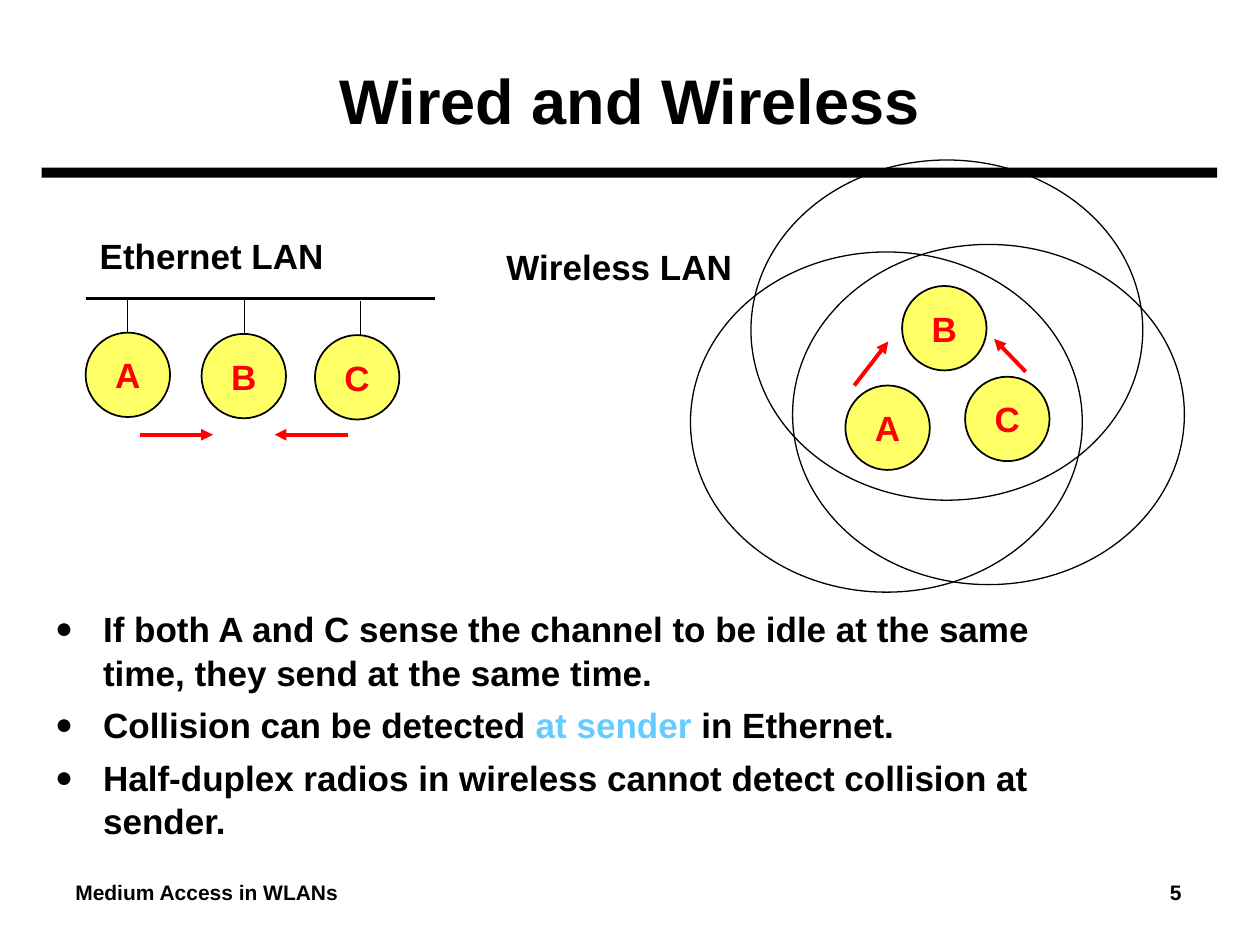
from lxml.etree import SubElement
from pptx import Presentation
from pptx.dml.color import RGBColor
from pptx.enum.shapes import MSO_CONNECTOR, MSO_SHAPE
from pptx.enum.text import MSO_ANCHOR, PP_ALIGN
from pptx.oxml.ns import qn
from pptx.util import Inches, Pt

BLACK = RGBColor(0x00, 0x00, 0x00)
RED = RGBColor(0xFF, 0x00, 0x00)
YELLOW = RGBColor(0xFF, 0xFF, 0x66)
BLUE = RGBColor(0x66, 0xCC, 0xFF)
NODE = 0.67
RANGE = (3.11, 2.7)


def style(font, size=20, color=BLACK):
    """Apply the bold slide font."""
    for name, value in {"name": "Arial", "size": Pt(size), "bold": True}.items():
        setattr(font, name, value)
    font.color.rgb = color


def add_tag(parent, tag, **attrs):
    """Append a drawing element with its attributes."""
    return SubElement(parent, qn(tag), attrs)


def add_text(slide, box, text, size=20, align=PP_ALIGN.LEFT, anchor=MSO_ANCHOR.TOP):
    """Add a one-line text box and return its paragraph."""
    frame = slide.shapes.add_textbox(*map(Inches, box)).text_frame
    frame.word_wrap = False
    frame.vertical_anchor = anchor
    para = frame.paragraphs[0]
    para.alignment = align
    run = para.add_run()
    run.text = text
    style(run.font, size)
    return para


def add_line(slide, start, end, width, color=BLACK, arrow=False):
    """Draw a straight line, with an arrowhead at its end if asked."""
    line = slide.shapes.add_connector(
        MSO_CONNECTOR.STRAIGHT, *map(Inches, (*start, *end)))
    line.line.width = Pt(width)
    line.line.color.rgb = color
    if arrow:
        add_tag(line.line._get_or_add_ln(), "a:tailEnd", type="triangle")
    add_tag(line._element.spPr, "a:effectLst")


def add_oval(slide, box, width):
    """Draw an unfilled black ellipse."""
    oval = slide.shapes.add_shape(MSO_SHAPE.OVAL, *map(Inches, box))
    oval.shadow.inherit = False
    oval.fill.background()
    oval.line.width = Pt(width)
    oval.line.color.rgb = BLACK
    return oval


def add_node(slide, name, left, top):
    """Draw a station as a yellow circle with a red letter."""
    node = add_oval(slide, (left, top, NODE, NODE), 1)
    node.fill.solid()
    node.fill.fore_color.rgb = YELLOW
    frame = node.text_frame
    frame.word_wrap = False
    frame.vertical_anchor = MSO_ANCHOR.MIDDLE
    para = frame.paragraphs[0]
    para.alignment = PP_ALIGN.CENTER
    run = para.add_run()
    run.text = name
    style(run.font, color=RED)


def add_title(slide, box, text):
    """Place the title and the thick rule below it."""
    title = slide.shapes.title
    left, top, width, height = box
    for name, value in zip(("left", "top", "width", "height"), box):
        setattr(title, name, Inches(value))
    title.text_frame.text = text
    title.text_frame.vertical_anchor = MSO_ANCHOR.MIDDLE
    para = title.text_frame.paragraphs[0]
    para.alignment = PP_ALIGN.CENTER
    style(para.runs[0].font, 36)
    rule = slide.shapes.add_shape(
        MSO_SHAPE.RECTANGLE, Inches(left - 0.17), Inches(top + height),
        Inches(width + 0.33), Inches(0.08))
    rule.shadow.inherit = False
    rule.fill.solid()
    rule.fill.fore_color.rgb = BLACK
    rule.line.fill.background()


def add_wired(slide, box):
    """Draw three stations hanging from a shared cable."""
    left, top, width, _ = box
    bus = top + 0.56
    add_text(slide, (left + 0.01, top, 1.98, 0.44), "Ethernet LAN",
             align=PP_ALIGN.CENTER)
    add_line(slide, (left, bus), (left + width, bus), 1.5)
    stations = (("A", 0, 0.33), ("B", 0.92, 1.26), ("C", 1.82, 2.18))
    for step, (name, x, stem) in enumerate(stations):
        y = bus + 0.01 * step
        add_line(slide, (left + stem, y), (left + stem, y + 0.27), 0.75)
        add_node(slide, name, left + x, y + 0.27)
    for start, end in ((0.43, 1.01), (2.08, 1.5)):
        add_line(slide, (left + start, top + 1.64), (left + end, top + 1.64),
                 2.25, RED, True)


def add_radio(slide, box):
    """Draw three stations inside their overlapping radio ranges."""
    left, top, _, _ = box
    for name, x, y in (("A", 1.23, 1.79), ("B", 1.68, 1), ("C", 2.18, 1.72)):
        add_node(slide, name, left + x, top + y)
    for x, y in ((0, 0.73), (0.81, 0.67), (0.48, 0)):
        add_oval(slide, (left + x, top + y, *RANGE), 0.75)
    add_text(slide, (left - 1.56, top + 0.63, 1.99, 0.44), "Wireless LAN",
             align=PP_ALIGN.CENTER)
    for x, y, tip, peak in ((1.3, 1.79, 1.57, 1.44), (2.66, 1.68, 2.41, 1.42)):
        add_line(slide, (left + x, top + y), (left + tip, top + peak),
                 2.25, RED, True)


def add_points(slide, box, points):
    """Write bulleted points made of text and colour pairs."""
    frame = slide.shapes.add_textbox(*map(Inches, box)).text_frame
    frame.word_wrap = True
    for index, parts in enumerate(points):
        para = frame.add_paragraph() if index else frame.paragraphs[0]
        props = para._p.get_or_add_pPr()
        props.set("marL", str(Inches(0.38)))
        props.set("indent", str(-Inches(0.38)))
        color = add_tag(props, "a:buClr")
        add_tag(color, "a:srgbClr", val=str(BLACK))
        add_tag(props, "a:buSzPct", val="85000")
        add_tag(props, "a:buFont", typeface="Arial")
        add_tag(props, "a:buChar", char="●")
        para.line_spacing = 1.04
        if index:
            para.space_before = Pt(5)
        for text, shade in parts:
            run = para.add_run()
            run.text = text
            style(run.font, color=shade)


def add_footer(slide, box, text, number):
    """Write the footer with the page number at a right tab."""
    para = add_text(slide, box, f"{text}\t{number}", 12, anchor=MSO_ANCHOR.MIDDLE)
    tabs = add_tag(para._p.get_or_add_pPr(), "a:tabLst")
    add_tag(tabs, "a:tab", pos=str(Inches(8.78)), algn="r")


def main():
    """Build and save the slide."""
    deck = Presentation()
    deck.slide_width, deck.slide_height = Inches(10), Inches(7.5)
    slide = deck.slides.add_slide(deck.slide_layouts[5])
    add_title(slide, (0.5, 0.25, 9, 1.08), "Wired and Wireless")
    add_footer(slide, (0.5, 6.83, 9, 0.5), "Medium Access in WLANs", 5)
    add_points(slide, (0.34, 4.76, 8.5, 1.95), (
        (("If both A and C sense the channel to be idle at the same time, "
          "they send at the same time.", BLACK),),
        (("Collision can be detected ", BLACK), ("at sender", BLUE),
         (" in Ethernet.", BLACK)),
        (("Half-duplex radios in wireless cannot detect collision at sender.",
          BLACK),),
    ))
    add_wired(slide, (0.68, 1.81, 2.77, 1.64))
    add_radio(slide, (5.48, 1.27, 3.92, 3.43))
    deck.save("out.pptx")


if __name__ == "__main__":
    main()
